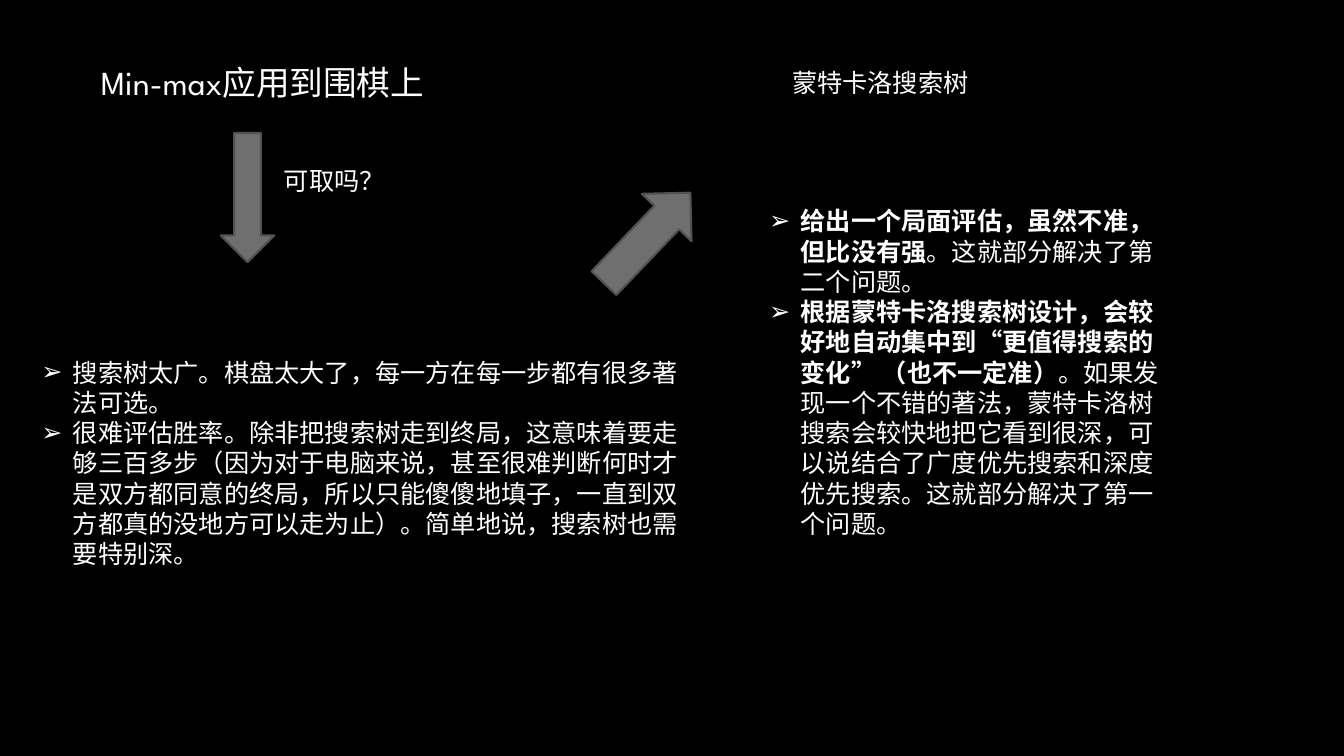
import lxml.etree
import pptx
import pptx.dml.color
import pptx.enum.shapes
import pptx.enum.text
import pptx.oxml.ns
import pptx.util

Pt = pptx.util.Pt
RGB = pptx.dml.color.RGBColor
BLACK = RGB(0x00, 0x00, 0x00)
WHITE = RGB(0xFF, 0xFF, 0xFF)
GRAY = RGB(0x6F, 0x6F, 0x6F)
EDGE = RGB(0x52, 0x52, 0x52)
FONT = "League Spartan"
SHAPE = pptx.enum.shapes.MSO_SHAPE
TEXT = pptx.enum.text


def place(shape, left, top, width, height):
    shape.left, shape.top = Pt(left), Pt(top)
    shape.width, shape.height = Pt(width), Pt(height)
    frame = shape.text_frame
    frame.word_wrap = True
    frame.auto_size = TEXT.MSO_AUTO_SIZE.SHAPE_TO_FIT_TEXT
    frame.vertical_anchor = TEXT.MSO_ANCHOR.TOP
    return frame


def write(para, parts, size):
    para.alignment = TEXT.PP_ALIGN.LEFT
    para.space_before = Pt(0)
    for words, bold in parts:
        run = para.add_run()
        run.text = words
        run.font.name = FONT
        run.font.size = Pt(size)
        run.font.bold = bold
        run.font.color.rgb = WHITE


deck = pptx.Presentation()
deck.slide_width, deck.slide_height = Pt(960), Pt(540)
slide = deck.slides.add_slide(deck.slide_layouts[3])
slide.background.fill.solid()
slide.background.fill.fore_color.rgb = BLACK
title, left, right = slide.placeholders

frame = place(title, 64.8, 40.3, 288, 36)
write(frame.paragraphs[0], [("Min-max应用到围棋上", False)], 24)

labels = [
    ("可取吗？", 195.8, 114.5, 276.5),
    ("蒙特卡洛搜索树", 558.7, 44.6, 293),
]
for words, x, y, width in labels:
    box = slide.shapes.add_textbox(0, 0, 0, 0)
    frame = place(box, x, y, width, 28.8)
    write(frame.paragraphs[0], [(words, False)], 18)

arrows = [
    (SHAPE.DOWN_ARROW, 157.7, 95, 38.2, 92.2, 0),
    (SHAPE.UP_ARROW, 437.8, 125.3, 49, 89.3, 43.7),
]
for kind, x, y, width, height, turn in arrows:
    arrow = slide.shapes.add_shape(kind, Pt(x), Pt(y), Pt(width), Pt(height))
    arrow.rotation = turn
    arrow.shadow.inherit = False
    arrow.fill.solid()
    arrow.fill.fore_color.rgb = GRAY
    arrow.line.color.rgb = EDGE
    arrow.line.width = Pt(1.5)

flaws = [
    [("搜索树太广。棋盘太大了，每一方在每一步都有很多著法可选。", False)],
    [("很难评估胜率。除非把搜索树走到终局，这意味着要走够三百多步"
      "（因为对于电脑来说，甚至很难判断何时才是双方都同意的终局，"
      "所以只能傻傻地填子，一直到双方都真的没地方可以走为止）。"
      "简单地说，搜索树也需要特别深。", False)],
]
gains = [
    [("给出一个局面评估，虽然不准，但比没有强", True),
     ("。这就部分解决了第二个问题。", False)],
    [("根据蒙特卡洛搜索树设计，会较好地自动集中到“更值得搜索的变化” （也不一定准）", True),
     ("。如果发现一个不错的著法，蒙特卡洛树搜索会较快地把它看到很深，"
      "可以说结合了广度优先搜索和深度优先搜索。这就部分解决了第一个问题。", False)],
]
lists = [
    (left, flaws, (22.3, 251.3, 472.3, 159.8)),
    (right, gains, (542.2, 143.3, 298, 269.3)),
]
for body, items, area in lists:
    frame = place(body, *area)
    for rank, parts in enumerate(items):
        para = frame.add_paragraph() if rank else frame.paragraphs[0]
        props = para._p.get_or_add_pPr()
        props.set("marL", str(Pt(22.5)))
        props.set("indent", str(-Pt(22.5)))
        mark = lxml.etree.SubElement(props, pptx.oxml.ns.qn("a:buChar"))
        mark.set("char", "➢")
        write(para, parts, 18)

deck.save("out.pptx")
